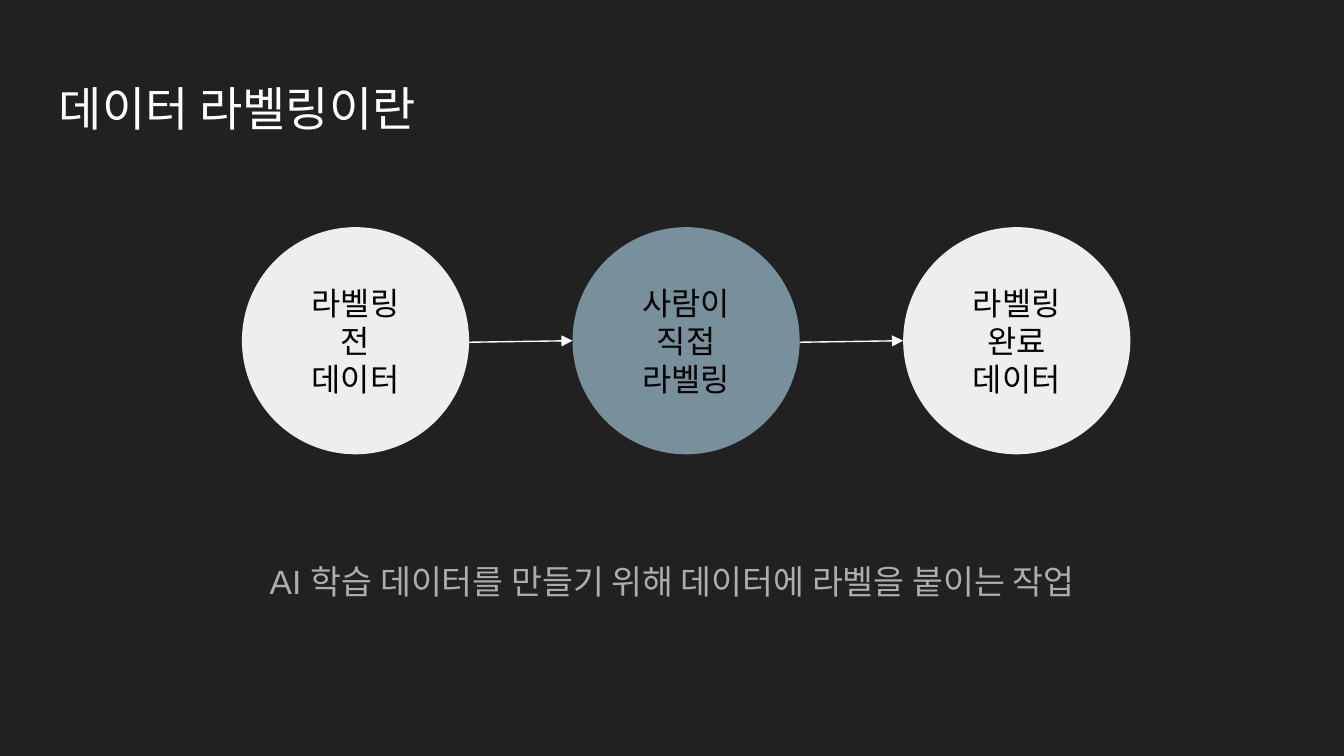
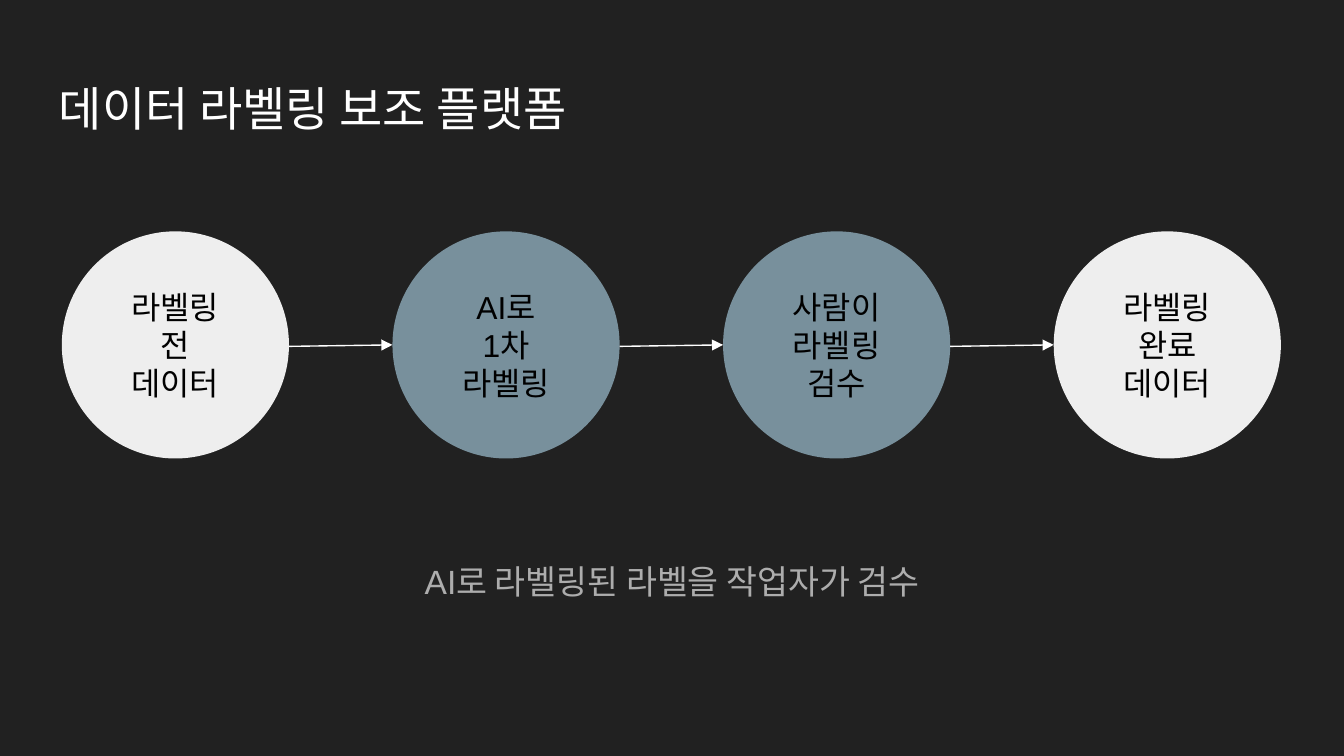
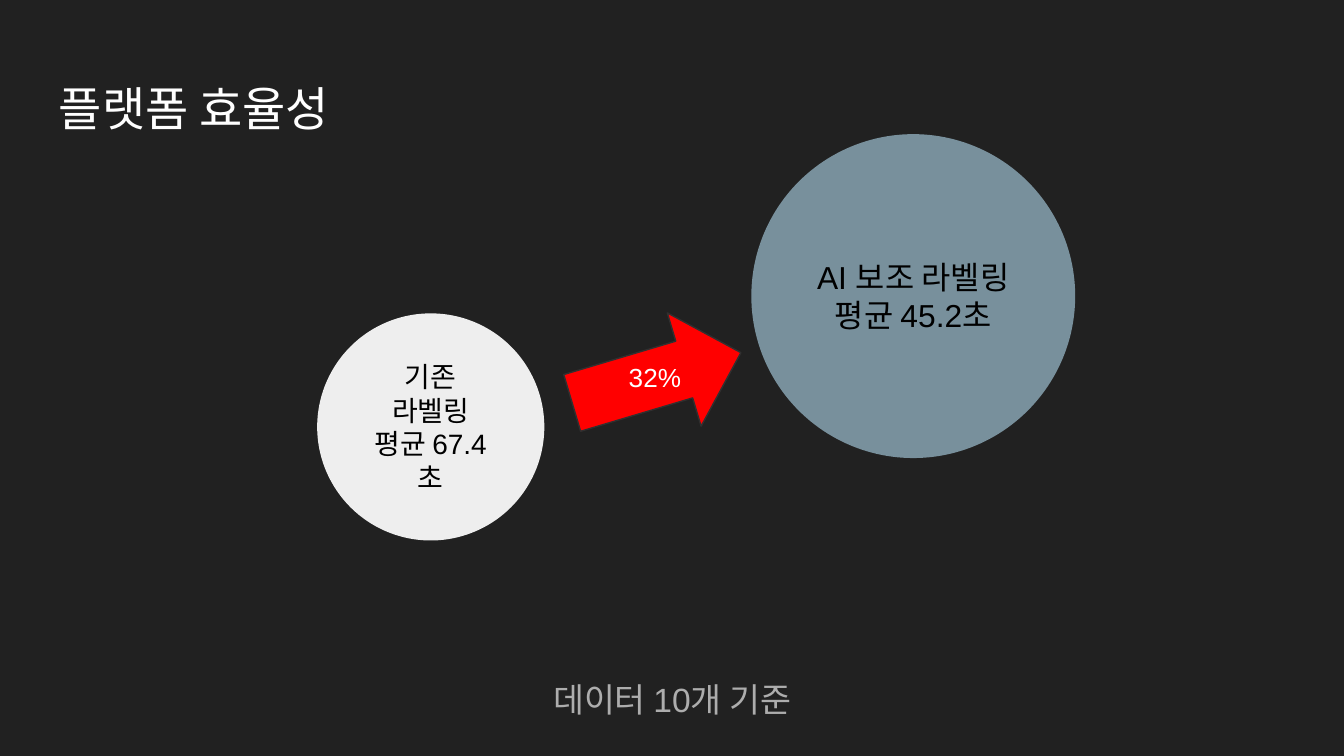
import dataclasses
import itertools
import typing

import lxml.etree
import pptx
import pptx.dml.color
import pptx.enum.dml
import pptx.enum.shapes
import pptx.enum.text
import pptx.oxml.ns
import pptx.util

RGBColor = pptx.dml.color.RGBColor
BACKGROUND = RGBColor(0x21, 0x21, 0x21)
WHITE = RGBColor(0xFF, 0xFF, 0xFF)
BLACK = RGBColor(0x00, 0x00, 0x00)
CAPTION_GRAY = RGBColor(0xAD, 0xAD, 0xAD)
DATA_GRAY = RGBColor(0xEE, 0xEE, 0xEE)
WORK_BLUE = RGBColor(0x78, 0x90, 0x9C)
GAIN_RED = RGBColor(0xFF, 0x00, 0x00)
GAIN_OUTLINE = RGBColor(0x30, 0x30, 0x30)

FONT = "Arial"
LINE_WIDTH = pptx.util.Pt(0.75)
MARGIN = pptx.util.Inches(0.1)
CENTER = pptx.enum.text.PP_ALIGN.CENTER
LEFT = pptx.enum.text.PP_ALIGN.LEFT
MIDDLE = pptx.enum.text.MSO_ANCHOR.MIDDLE
TOP = pptx.enum.text.MSO_ANCHOR.TOP
SHAPES = pptx.enum.shapes.MSO_SHAPE

# The slide is a grid of 100 columns and 100 rows
SLIDE_WIDTH = pptx.util.Inches(10)
SLIDE_HEIGHT = SLIDE_WIDTH * 9 // 16
STEP_DIAMETER = 16.9
STEP_PITCH = 24.6
ARROW_RISE = 0.2


def columns(count: float) -> int:
    return round(SLIDE_WIDTH * count / 100)


def rows(count: float) -> int:
    return round(SLIDE_HEIGHT * count / 100)


@dataclasses.dataclass(frozen=True)
class Area:
    left: float
    top: float
    width: float
    height: float

    def lengths(self) -> tuple[int, int, int, int]:
        return columns(self.left), rows(self.top), columns(self.width), rows(self.height)


@dataclasses.dataclass(frozen=True)
class TextStyle:
    size: float
    color: RGBColor
    alignment: typing.Any = CENTER
    anchor: typing.Any = TOP
    paragraph_format: dict[str, typing.Any] = dataclasses.field(default_factory=dict)


@dataclasses.dataclass(frozen=True)
class Circle:
    lines: tuple[str, ...]
    color: RGBColor
    size: float = 17


@dataclasses.dataclass(frozen=True)
class Flow:
    title: str
    caption: str
    left: float
    top: float
    steps: tuple[Circle, ...]


TITLE_AREA = Area(3.4, 8.7, 93.2, 11.2)
CAPTION_AREA = Area(3.4, 71.65, 93.2, 17.2)
FOOTNOTE_AREA = Area(3.4, 87.3, 93.2, 8.9)
GAIN_AREA = Area(42.3, 42.15, 13.1, 15.65)
GAIN_LABEL_AREA = Area(45.8, 46.05, 15.7, 7.8)

TITLE = TextStyle(25.2, WHITE, LEFT)
CAPTION = TextStyle(18, CAPTION_GRAY, paragraph_format={
    "line_spacing": 1.15, "space_after": pptx.util.Pt(12)})
GAIN_LABEL = TextStyle(14, WHITE, LEFT)

RAW_DATA = Circle(("라벨링", "전", "데이터"), DATA_GRAY)
LABELED_DATA = Circle(("라벨링 완료 데이터",), DATA_GRAY)

FLOWS = (
    Flow("데이터 라벨링이란", "AI 학습 데이터를 만들기 위해 데이터에 라벨을 붙이는 작업", 18, 30.05,
         (RAW_DATA, Circle(("사람이 직접 라벨링",), WORK_BLUE), LABELED_DATA)),
    Flow("데이터 라벨링 보조 플랫폼", "AI로 라벨링된 라벨을 작업자가 검수", 4.6, 30.6,
         (RAW_DATA,
          Circle(("AI로", "1차 라벨링"), WORK_BLUE),
          Circle(("사람이", "라벨링", "검수"), WORK_BLUE),
          LABELED_DATA)),
)


def set_all(target: typing.Any, values: dict[str, typing.Any]) -> None:
    for name, value in values.items():
        setattr(target, name, value)


def write(shape: typing.Any, lines: typing.Iterable[str], style: TextStyle) -> None:
    frame = shape.text_frame
    set_all(frame, {
        "word_wrap": True, "vertical_anchor": style.anchor,
        "margin_left": MARGIN, "margin_right": MARGIN,
        "margin_top": MARGIN, "margin_bottom": MARGIN,
    })
    for index, line in enumerate(lines):
        para = frame.add_paragraph() if index else frame.paragraphs[0]
        set_all(para, {"alignment": style.alignment, **style.paragraph_format})
        span = para.add_run()
        span.text = line
        set_all(span.font, {"name": FONT, "size": pptx.util.Pt(style.size)})
        span.font.color.rgb = style.color


def add_text(page: typing.Any, area: Area, text: str, style: TextStyle) -> typing.Any:
    box = page.shapes.add_textbox(*area.lengths())
    write(box, [text], style)
    return box


def add_filled(page: typing.Any, kind: typing.Any, lengths: tuple[int, int, int, int],
               color: RGBColor) -> typing.Any:
    shape = page.shapes.add_shape(kind, *lengths)
    shape.shadow.inherit = False
    shape.fill.solid()
    shape.fill.fore_color.rgb = color
    shape.line.fill.background()
    return shape


def add_circle(page: typing.Any, circle: Circle, left: float, top: float,
               diameter: float) -> typing.Any:
    side = columns(diameter)
    shape = add_filled(page, SHAPES.OVAL, (columns(left), rows(top), side, side), circle.color)
    write(shape, circle.lines, TextStyle(circle.size, BLACK, anchor=MIDDLE))
    return shape


def add_arrow(page: typing.Any, source: typing.Any, target: typing.Any) -> None:
    middle = source.top + source.height // 2
    arrow = page.shapes.add_connector(
        pptx.enum.shapes.MSO_CONNECTOR.STRAIGHT,
        source.left + source.width, middle + rows(ARROW_RISE), target.left, middle)
    arrow.line.color.rgb = WHITE
    arrow.line.width = LINE_WIDTH
    # Arrowhead at the end, and no shadow
    qn = pptx.oxml.ns.qn
    lxml.etree.SubElement(arrow.line._get_or_add_ln(), qn("a:tailEnd"), type="triangle")
    lxml.etree.SubElement(arrow._element.spPr, qn("a:effectLst"))


def add_page(deck: typing.Any, title: str, caption: str, caption_area: Area) -> typing.Any:
    page = deck.slides.add_slide(deck.slide_layouts[6])
    add_text(page, TITLE_AREA, title, TITLE)
    add_text(page, caption_area, caption, CAPTION)
    return page


def add_flow_page(deck: typing.Any, flow: Flow) -> None:
    page = add_page(deck, flow.title, flow.caption, CAPTION_AREA)
    circles = [add_circle(page, step, flow.left + index * STEP_PITCH, flow.top, STEP_DIAMETER)
               for index, step in enumerate(flow.steps)]
    for source, target in itertools.pairwise(circles):
        add_arrow(page, source, target)


def add_efficiency_page(deck: typing.Any) -> None:
    page = add_page(deck, "플랫폼 효율성", "데이터 10개 기준", FOOTNOTE_AREA)
    manual = Circle(("기존 라벨링", "평균 67.4초"), DATA_GRAY, 15)
    assisted = Circle(("AI 보조 라벨링", "평균 45.2초"), WORK_BLUE)
    add_circle(page, manual, 23.6, 41.45, STEP_DIAMETER)
    add_circle(page, assisted, 55.9, 17.75, 24.1)

    # Time saved
    gain = add_filled(page, SHAPES.RIGHT_ARROW, GAIN_AREA.lengths(), GAIN_RED)
    gain.rotation = -16.6
    gain.line.color.rgb = GAIN_OUTLINE
    gain.line.width = LINE_WIDTH
    label = add_text(page, GAIN_LABEL_AREA, "32%", GAIN_LABEL)
    label.text_frame.auto_size = pptx.enum.text.MSO_AUTO_SIZE.SHAPE_TO_FIT_TEXT


def main() -> None:
    deck = pptx.Presentation()
    set_all(deck, {"slide_width": SLIDE_WIDTH, "slide_height": SLIDE_HEIGHT})
    backdrop = deck.slide_master.background.fill
    backdrop.solid()
    backdrop.fore_color.rgb = BACKGROUND
    for flow in FLOWS:
        add_flow_page(deck, flow)
    add_efficiency_page(deck)
    deck.save("out.pptx")


if __name__ == "__main__":
    main()
